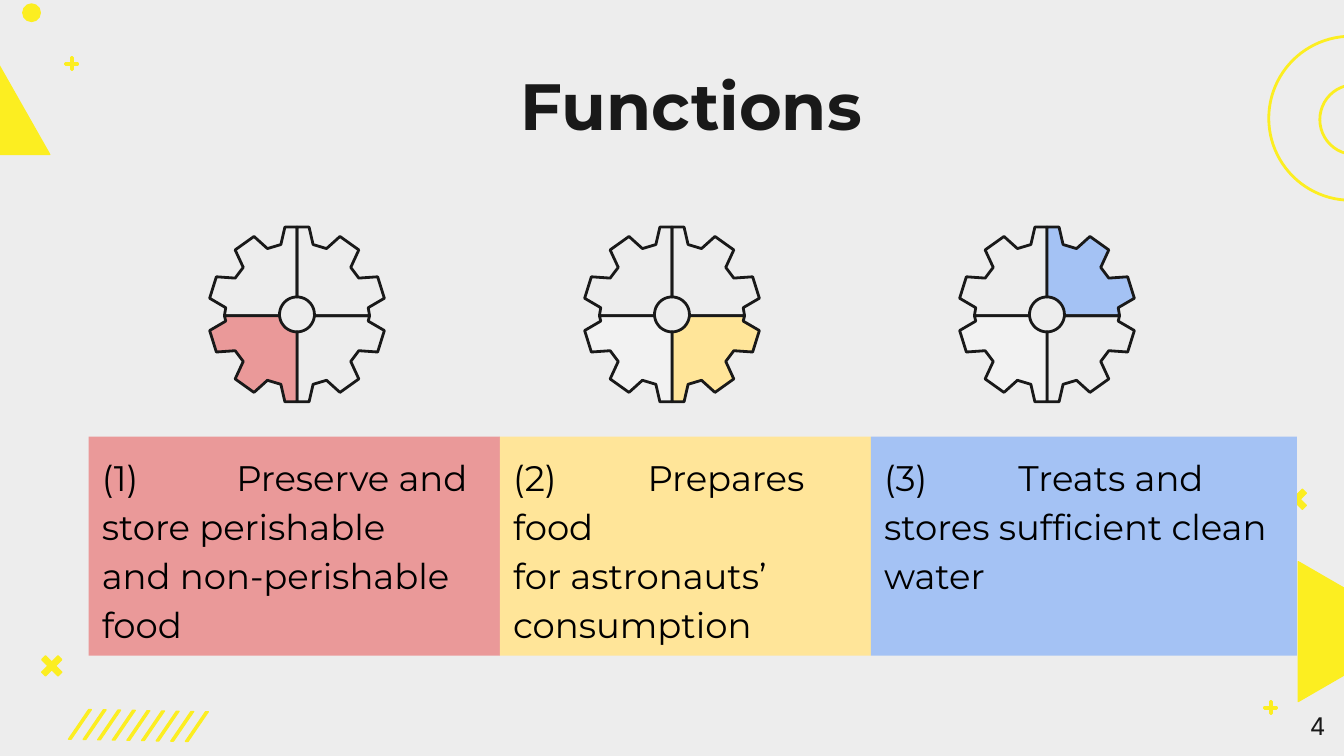
from math import cos, pi, sin

from lxml.etree import SubElement
from pptx import Presentation
from pptx.dml.color import RGBColor as RGB
from pptx.enum.shapes import MSO_SHAPE as Shape
from pptx.enum.text import MSO_ANCHOR as Anchor, PP_ALIGN as Align
from pptx.oxml.ns import qn
from pptx.util import Emu, Pt

SCALE = 9144  # 100 px to the inch
INKS = {
    "back": "EDEDED", "yellow": "FCEE21", "dark": "191919", "black": "000000",
    "red": "EA9999", "cream": "FFE599", "blue": "A4C2F4", "pale": "F2F2F2",
}
TEETH = [(0, 65), (9, 65), (12, 52), (22, 49), (32, 58), (46, 48),
         (40, 35), (46, 27), (60, 28), (65, 12), (53, 5)]
HUB = 13
# Quarter fills: top left, top right, bottom right, bottom left
GEARS = [
    (None, None, None, "red"),
    (None, None, "cream", "pale"),
    (None, "blue", None, "pale"),
]
SIDES = [(-1, -1), (1, -1), (1, 1), (-1, 1)]
BOXES = [
    (306, "red", ["(1)\tPreserve and store perishable", "and non-perishable food"]),
    (276, "cream", ["(2)\tPrepares food", "for astronauts’ consumption"]),
    (317, "blue", ["(3)\tTreats and stores sufficient clean water"]),
]


def px(size):
    return Emu(round(size * SCALE))


def ink(name):
    return RGB.from_string(INKS[name])


def write(frame, lines, size=19, font="Montserrat", color="black",
          bold=False, align=Align.LEFT, space=1.15):
    frame.word_wrap = True
    frame.vertical_anchor = Anchor.TOP
    frame.margin_left = frame.margin_right = px(10)
    frame.margin_top = frame.margin_bottom = px(10)
    for i, line in enumerate(lines):
        para = frame.add_paragraph() if i else frame.paragraphs[0]
        if "\t" in line:
            tabs = SubElement(para._p.get_or_add_pPr(), qn("a:tabLst"))
            SubElement(tabs, qn("a:tab"), pos=str(px(100)), algn="l")
        para.alignment = align
        para.line_spacing = space
        run = para.add_run()
        run.text = line
        run.font.size = Pt(size)
        run.font.name = font
        run.font.bold = bold
        run.font.color.rgb = ink(color)


class Deck:
    def __init__(self):
        self.show = Presentation()
        self.show.slide_width = px(1000)
        self.show.slide_height = px(1000) * 9 // 16
        self.slide = self.show.slides.add_slide(self.show.slide_layouts[5])
        self.shapes = self.slide.shapes
        paint = self.slide.background.fill
        paint.solid()
        paint.fore_color.rgb = ink("back")

    def paint(self, shape, fill, line, width):
        shape.shadow.inherit = False
        if fill:
            shape.fill.solid()
            shape.fill.fore_color.rgb = ink(fill)
        else:
            shape.fill.background()
        if line:
            shape.line.color.rgb = ink(line)
            shape.line.width = Pt(width)
        else:
            shape.line.fill.background()
        return shape

    def form(self, kind, x, y, w, h, fill=None, line=None, width=0.75):
        shape = self.shapes.add_shape(kind, px(x), px(y), px(w), px(h))
        return self.paint(shape, fill, line, width)

    def poly(self, points, fill=None, line=None, width=0.75):
        spots = [(px(x), px(y)) for x, y in points]
        pen = self.shapes.build_freeform(*spots[0])
        pen.add_line_segments(spots[1:], close=True)
        return self.paint(pen.convert_to_shape(), fill, line, width)

    def ring(self, x, y, size):
        self.form(Shape.OVAL, x, y, size, size, line="yellow", width=1.5)

    def plus(self, x, y):
        mark = self.form(Shape.CROSS, x, y, 9, 9, line="yellow", width=1.5)
        mark.adjustments[0] = 0.45

    def times(self, x, y):
        mark = self.form(Shape.CROSS, x, y, 17, 17, "yellow", "yellow")
        mark.adjustments[0] = 0.38
        mark.rotation = 45

    def stripes(self, count=9):
        for i in range(count):
            x, y = 51 + i * 87 / 8, 528 + i / 5
            points = [(x + 15, y), (x, y + 22), (x + 2, y + 22), (x + 17, y)]
            self.poly(points, "yellow", "yellow")

    def gear(self, x, y, fills):
        """Draw four mirrored quarters that meet one px below the centre."""
        turns = [pi / 2 * i / 12 for i in range(1, 13)]
        arc = [(HUB * cos(t), HUB * sin(t)) for t in turns]
        for (dx, dy), fill in zip(SIDES, fills):
            curve = [(x + dx * a, y + dy * b) for a, b in arc + TEETH]
            ends = [(x + dx * 54, y + 1), (x + dx * HUB, y + 1)]
            self.poly(curve + ends, fill, "dark", 1.5)

    def title(self, text, x, y, w, h):
        box = self.shapes.title
        box.left, box.top, box.width, box.height = map(px, (x, y, w, h))
        write(box.text_frame, [text], size=35, color="dark", bold=True,
              align=Align.CENTER)

    def box(self, x, y, w, h, fill, lines):
        write(self.form(Shape.RECTANGLE, x, y, w, h, fill).text_frame, lines)

    def label(self, text, x, y, w, h, **style):
        box = self.shapes.add_textbox(px(x), px(y), px(w), px(h))
        write(box.text_frame, [text], **style)


def main():
    deck = Deck()
    deck.poly([(966, 418), (966, 522), (1056, 470)], "yellow", "yellow")
    deck.poly([(-1, 48), (-40, 115), (37, 115)], "yellow", "yellow")
    deck.ring(944, 27, 122)
    deck.ring(982, 63, 52)
    deck.form(Shape.OVAL, 17, 3, 13, 13, "yellow", "yellow")
    for spot in [(49, 43), (941, 522)]:
        deck.plus(*spot)
    for spot in [(30, 487), (956, 363)]:
        deck.times(*spot)
    deck.stripes()

    deck.title("Functions", 93, 30, 843, 63)
    for i, fills in enumerate(GEARS):
        deck.gear(221 + 279 * i, 234, fills)
    left = 66
    for width, fill, lines in BOXES:
        deck.box(left, 325, width, 163, fill, lines)
        left += width
    deck.label("4", 936, 519, 60, 43, size=13, font="Inter", color="dark",
               align=Align.RIGHT, space=1.0)
    deck.show.save("out.pptx")


if __name__ == "__main__":
    main()
